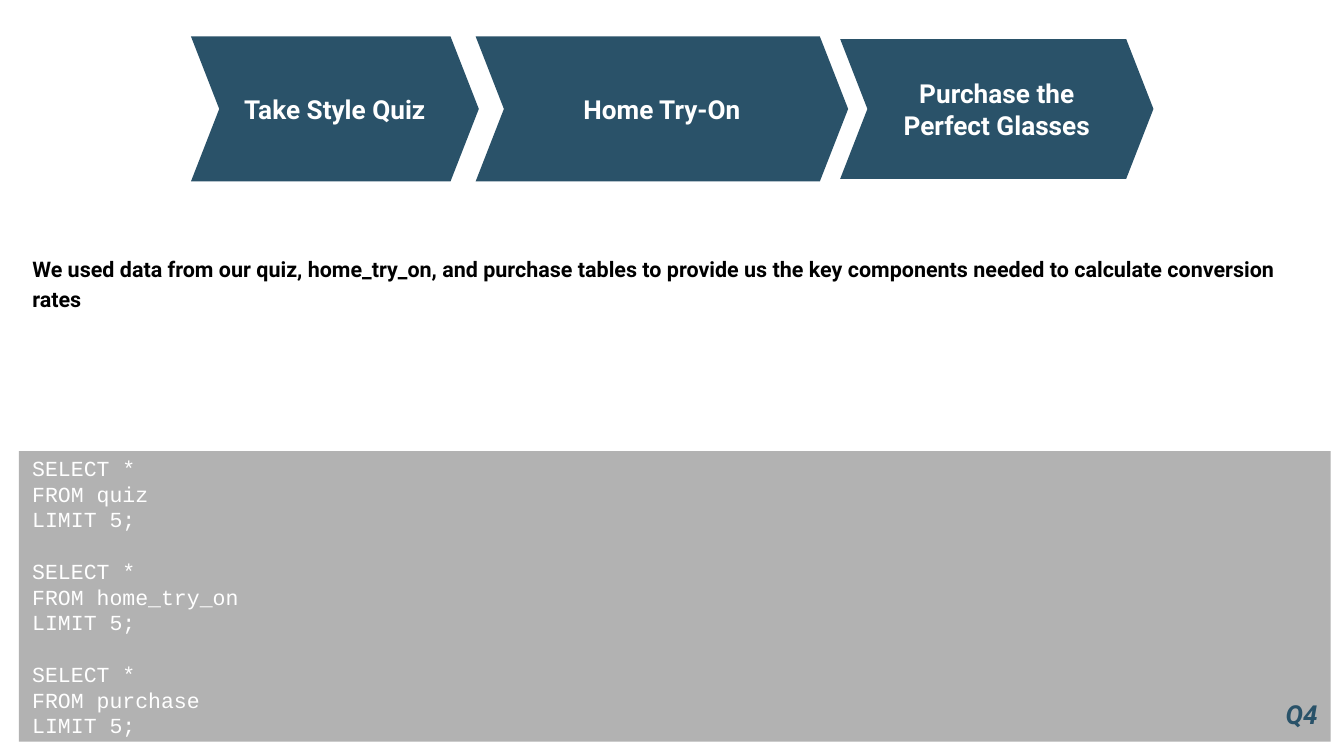
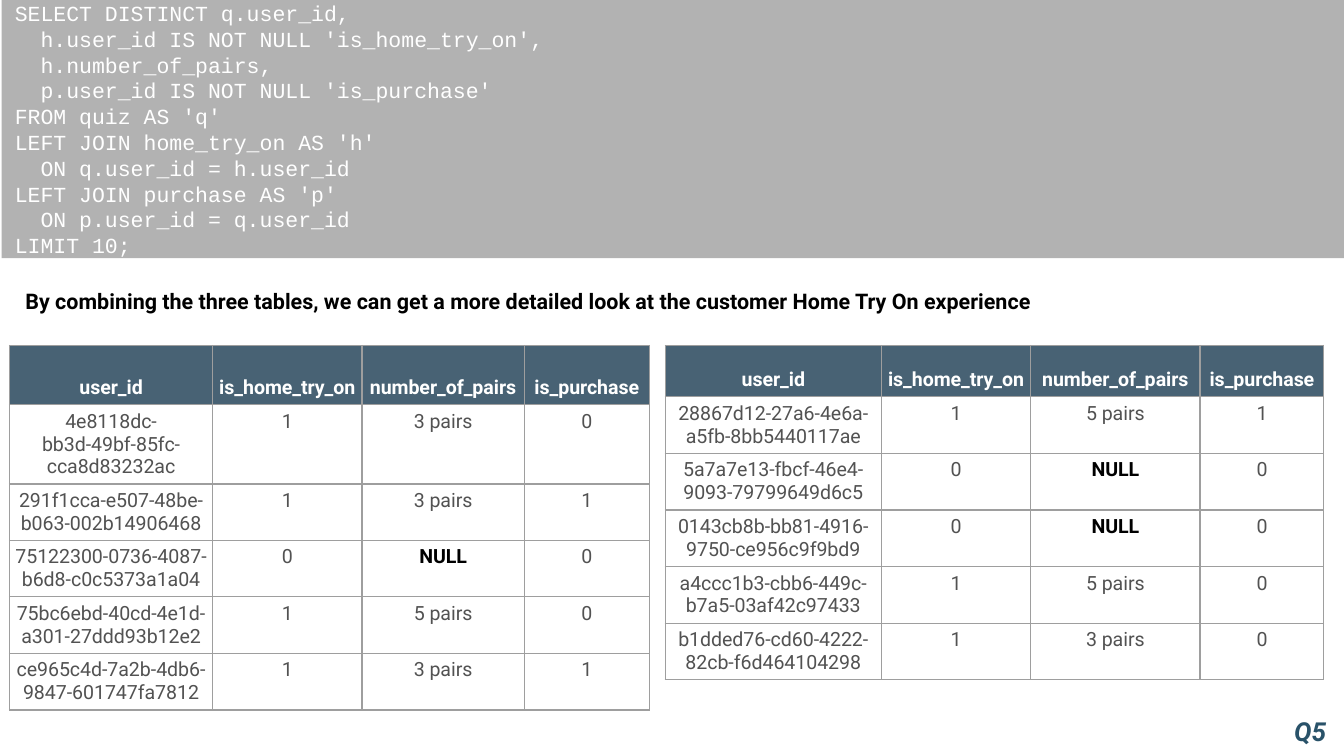
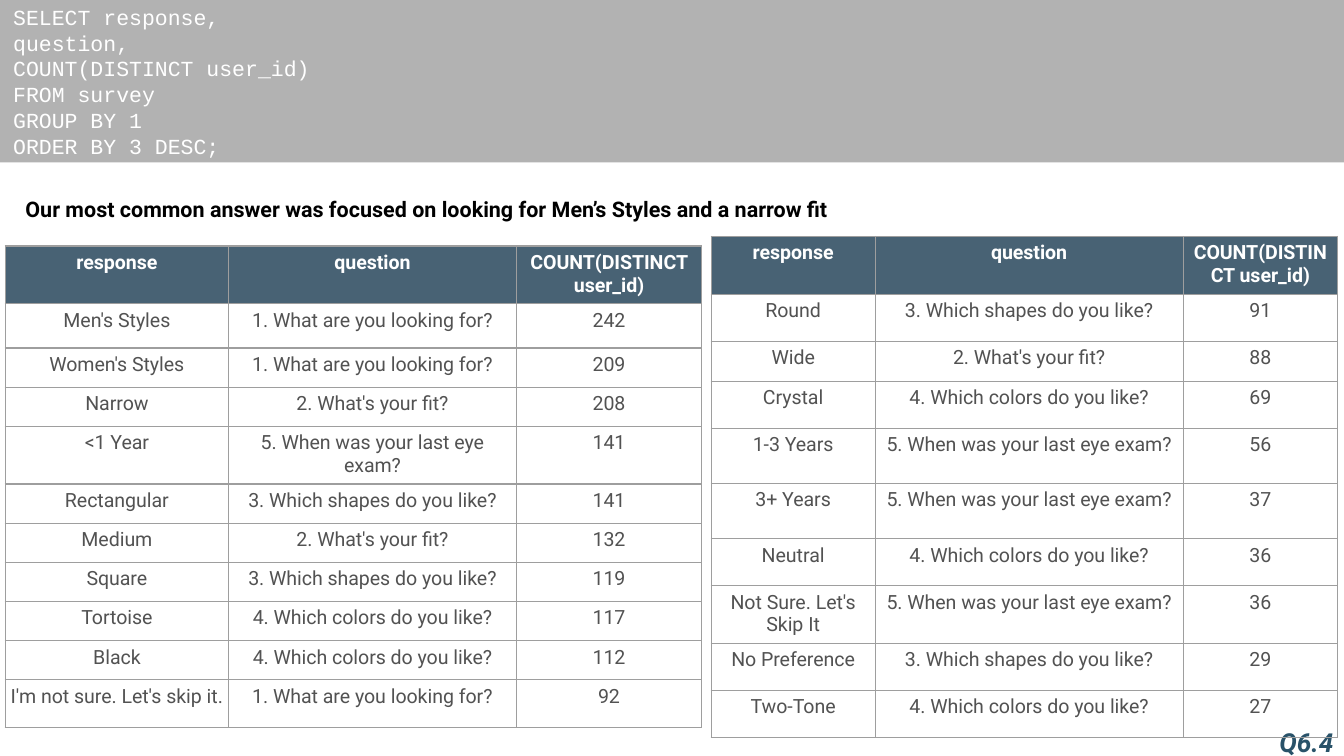
import pptx
import pptx.util
import pptx.dml.color
import pptx.enum.shapes
import pptx.enum.text
import pptx.oxml
import pptx.oxml.ns
from lxml import etree

Cm = pptx.util.Cm
Pt = pptx.util.Pt
SHAPE = pptx.enum.shapes.MSO_SHAPE
ANCHOR = pptx.enum.text.MSO_ANCHOR
ALIGN = pptx.enum.text.PP_ALIGN
AUTOSIZE = pptx.enum.text.MSO_AUTO_SIZE

SANS, MONO = "Roboto", "Courier New"
WHITE, BLACK, GREY = "FFFFFF", "000000", "525252"
CODE_FILL, STEP_FILL, TAG_COLOR = "B2B2B2", "2A5269", "295269"
HEADER_FILL, HEADER_ALPHA, BORDER = "204056", 82, "9E9E9E"
CODE_GAP = 13.8

QUESTIONS = {
    1: "1. What are you looking for?",
    2: "2. What's your fit?",
    3: "3. Which shapes do you like?",
    4: "4. Which colors do you like?",
    5: "5. When was your last eye exam?",
}

STEPS = [
    ("Take Style Quiz", 0, 5.44, 2.74),
    ("Home Try-On", 5.38, 7.04, 2.74),
    ("Purchase the Perfect Glasses", 12.27, 5.92, 2.64),
]

TABLES_SQL = [
    ["SELECT *", f"FROM {name}", "LIMIT 5;"]
    for name in ("quiz", "home_try_on", "purchase")
]

FUNNEL_SQL = [[
    "SELECT DISTINCT q.user_id,",
    "  h.user_id IS NOT NULL 'is_home_try_on',",
    "  h.number_of_pairs,",
    "  p.user_id IS NOT NULL 'is_purchase'",
    "FROM quiz AS 'q'",
    "LEFT JOIN home_try_on AS 'h'",
    "  ON q.user_id = h.user_id",
    "LEFT JOIN purchase AS 'p'",
    "  ON p.user_id = q.user_id",
    "LIMIT 10;",
]]

SURVEY_SQL = [[
    "SELECT response,",
    "question,",
    "COUNT(DISTINCT user_id)",
    "FROM survey",
    "GROUP BY 1",
    "ORDER BY 3 DESC;",
]]

FUNNEL_HEAD = ("user_id", "is_home_try_on", "number_of_pairs", "is_purchase")
FUNNEL_LEFT = [
    ("4e8118dc-bb3d-49bf-85fc-cca8d83232ac", "1", "3 pairs", "0"),
    ("291f1cca-e507-48be-b063-002b14906468", "1", "3 pairs", "1"),
    ("75122300-0736-4087-b6d8-c0c5373a1a04", "0", "NULL", "0"),
    ("75bc6ebd-40cd-4e1d-a301-27ddd93b12e2", "1", "5 pairs", "0"),
    ("ce965c4d-7a2b-4db6-9847-601747fa7812", "1", "3 pairs", "1"),
]
FUNNEL_RIGHT = [
    ("28867d12-27a6-4e6a-a5fb-8bb5440117ae", "1", "5 pairs", "1"),
    ("5a7a7e13-fbcf-46e4-9093-79799649d6c5", "0", "NULL", "0"),
    ("0143cb8b-bb81-4916-9750-ce956c9f9bd9", "0", "NULL", "0"),
    ("a4ccc1b3-cbb6-449c-b7a5-03af42c97433", "1", "5 pairs", "0"),
    ("b1dded76-cd60-4222-82cb-f6d464104298", "1", "3 pairs", "0"),
]

SURVEY_HEAD = ("response", "question", "COUNT(DISTINCT user_id)")
SURVEY_LEFT = [
    ("Men's Styles", 1, 242),
    ("Women's Styles", 1, 209),
    ("Narrow", 2, 208),
    ("<1 Year", 5, 141),
    ("Rectangular", 3, 141),
    ("Medium", 2, 132),
    ("Square", 3, 119),
    ("Tortoise", 4, 117),
    ("Black", 4, 112),
    ("I'm not sure. Let's skip it.", 1, 92),
]
SURVEY_RIGHT = [
    ("Round", 3, 91),
    ("Wide", 2, 88),
    ("Crystal", 4, 69),
    ("1-3 Years", 5, 56),
    ("3+ Years", 5, 37),
    ("Neutral", 4, 36),
    ("Not Sure. Let's Skip It", 5, 36),
    ("No Preference", 3, 29),
    ("Two-Tone", 4, 27),
]


def rgb(color):
    return pptx.dml.color.RGBColor.from_string(color)


def lengths(box):
    return [Cm(v) for v in box]


def add_run(p, text, size, color, font=SANS, bold=False, italic=False):
    r = p.add_run()
    r.text = text
    r.font.name = font
    r.font.size = Pt(size)
    r.font.bold = bold
    r.font.italic = italic
    r.font.color.rgb = rgb(color)


def set_margins(target, left, others):
    target.margin_left = Cm(left)
    target.margin_top = target.margin_right = target.margin_bottom = Cm(others)


def add_block(shapes, kind, box, color):
    sp = shapes.add_shape(kind, *lengths(box))
    sp.shadow.inherit = False
    sp.fill.solid()
    sp.fill.fore_color.rgb = rgb(color)
    sp.line.fill.background()
    sp.text_frame.word_wrap = True
    sp.text_frame.vertical_anchor = ANCHOR.MIDDLE
    return sp


def add_title(s, box, text, inset=0.48, anchor=ANCHOR.TOP):
    sp = s.shapes.title
    sp.left, sp.top, sp.width, sp.height = lengths(box)
    tf = sp.text_frame
    tf.word_wrap = True
    tf.auto_size = AUTOSIZE.NONE
    tf.vertical_anchor = anchor
    set_margins(tf, inset, 0.25)
    p = tf.paragraphs[0]
    p.alignment = ALIGN.LEFT
    p.line_spacing = 1.15
    add_run(p, text, 11.5, BLACK, bold=True)


def add_code(s, box, queries):
    tf = add_block(s.shapes, SHAPE.RECTANGLE, box, CODE_FILL).text_frame
    p = tf.paragraphs[0]
    for q, query in enumerate(queries):
        for i, line in enumerate(query):
            if q or i:
                p = tf.add_paragraph()
            if q and not i:
                p.space_before = Pt(CODE_GAP)
            p.alignment = ALIGN.LEFT
            add_run(p, line, 11.5, WHITE, MONO)


def add_tag(s, box, text, wrap=False):
    tf = s.shapes.add_textbox(*lengths(box)).text_frame
    tf.word_wrap = wrap
    if wrap:
        tf.vertical_anchor = ANCHOR.BOTTOM
        set_margins(tf, 0.25, 0.25)
    else:
        tf.auto_size = AUTOSIZE.SHAPE_TO_FIT_TEXT
    add_run(tf.paragraphs[0], text, 14, TAG_COLOR, bold=True, italic=True)


def add_steps(s, box, steps):
    left, top, _, height = box
    group = s.shapes.add_group_shape()
    for text, dx, w, h in steps:
        sp = add_block(group.shapes, SHAPE.CHEVRON,
                       (left + dx, top + (height - h) / 2, w, h), STEP_FILL)
        sp.adjustments[0] = 0.195
        p = sp.text_frame.paragraphs[0]
        p.alignment = ALIGN.CENTER
        add_run(p, text, 14, WHITE, bold=True)


def add_borders(cell):
    tcPr = cell._tc.get_or_add_tcPr()
    ns = pptx.oxml.ns.nsdecls("a")
    for i, side in enumerate("LRTB"):
        tcPr.insert(i, pptx.oxml.parse_xml(
            f'<a:ln{side} {ns} w="9525"><a:solidFill><a:srgbClr val="{BORDER}"/>'
            f'</a:solidFill><a:prstDash val="solid"/></a:ln{side}>'))


def fill_header(cell):
    cell.fill.solid()
    cell.fill.fore_color.rgb = rgb(HEADER_FILL)
    qn = pptx.oxml.ns.qn
    clr = cell._tc.tcPr.find(qn("a:solidFill")).find(qn("a:srgbClr"))
    etree.SubElement(clr, qn("a:alpha"), val=str(HEADER_ALPHA * 1000))


def add_data_table(s, corner, widths, heights, head, rows, head_anchor=ANCHOR.TOP):
    box = (*corner, sum(widths), sum(heights))
    tbl = s.shapes.add_table(len(heights), len(widths), *lengths(box)).table
    tbl.horz_banding = False
    for col, w in zip(tbl.columns, widths):
        col.width = Cm(w)
    for row, h in zip(tbl.rows, heights):
        row.height = Cm(h)
    for i, values in enumerate([head, *rows]):
        for j, text in enumerate(values):
            cell = tbl.cell(i, j)
            set_margins(cell, 0.1, 0.1)
            if i == 0:
                cell.vertical_anchor = head_anchor
                fill_header(cell)
                color = WHITE
            else:
                cell.fill.background()
                color = BLACK if text == "NULL" else GREY
            add_borders(cell)
            p = cell.text_frame.paragraphs[0]
            p.alignment = ALIGN.CENTER
            add_run(p, text, 10.5, color, bold=color != GREY)


def survey_rows(answers):
    return [(response, QUESTIONS[n], str(count)) for response, n, count in answers]


def build_sources_slide(s):
    add_title(s, (0.36, 4.52, 24.79, 0.99),
              "We used data from our quiz, home_try_on, and purchase tables to provide us "
              "the key components needed to calculate conversion rates", inset=0.25)
    add_code(s, (0.36, 8.53, 24.79, 5.49), TABLES_SQL)
    add_steps(s, (3.61, 0.69, 18.19, 2.74), STEPS)
    add_tag(s, (24.05, 13.08, 1.24, 0.86), "Q4")


def build_funnel_slide(s):
    add_code(s, (0.03, 0, 25.37, 4.88), FUNNEL_SQL)
    add_title(s, (0, 5.13, 19.84, 1.02),
              "By combining the three tables, we can get a more detailed look at the "
              "customer Home Try On experience")
    add_data_table(s, (0.18, 6.53), (3.84, 2.82, 3.07, 2.36),
                   (1.12, 0.76, 0.97, 1.07, 1.07, 1.07),
                   FUNNEL_HEAD, FUNNEL_LEFT, ANCHOR.BOTTOM)
    add_data_table(s, (12.57, 6.53), (4.09, 2.82, 3.2, 2.34),
                   (0.97, *[1.07] * 5),
                   FUNNEL_HEAD, FUNNEL_RIGHT, ANCHOR.BOTTOM)
    add_tag(s, (24.21, 13.39, 1.14, 0.86), "Q5")


def build_survey_slide(s):
    add_code(s, (0, 0, 25.4, 3.07), SURVEY_SQL)
    add_title(s, (0, 3.53, 16.1, 0.91),
              "Our most common answer was focused on looking for Men’s Styles and a narrow fit",
              anchor=ANCHOR.BOTTOM)
    add_tag(s, (23.93, 14.02, 1.83, 0.56), "Q6.4", wrap=True)
    add_data_table(s, (0.1, 4.65), (4.22, 5.44, 3.5),
                   (0.91, 0.84, 0.74, 0.74, 0.91, *[0.74] * 5, 0.91),
                   SURVEY_HEAD, survey_rows(SURVEY_LEFT))
    add_data_table(s, (13.44, 4.47), (3.1, 5.82, 2.92),
                   (1.09, 0.89, 0.76, 0.89, 1.04, 1.04, 0.89, 1.09, 0.89, 0.89),
                   SURVEY_HEAD, survey_rows(SURVEY_RIGHT))


def main():
    prs = pptx.Presentation()
    prs.slide_width, prs.slide_height = Cm(25.4), Cm(14.29)
    for build in (build_sources_slide, build_funnel_slide, build_survey_slide):
        build(prs.slides.add_slide(prs.slide_layouts[5]))
    prs.save("out.pptx")


if __name__ == "__main__":
    main()
